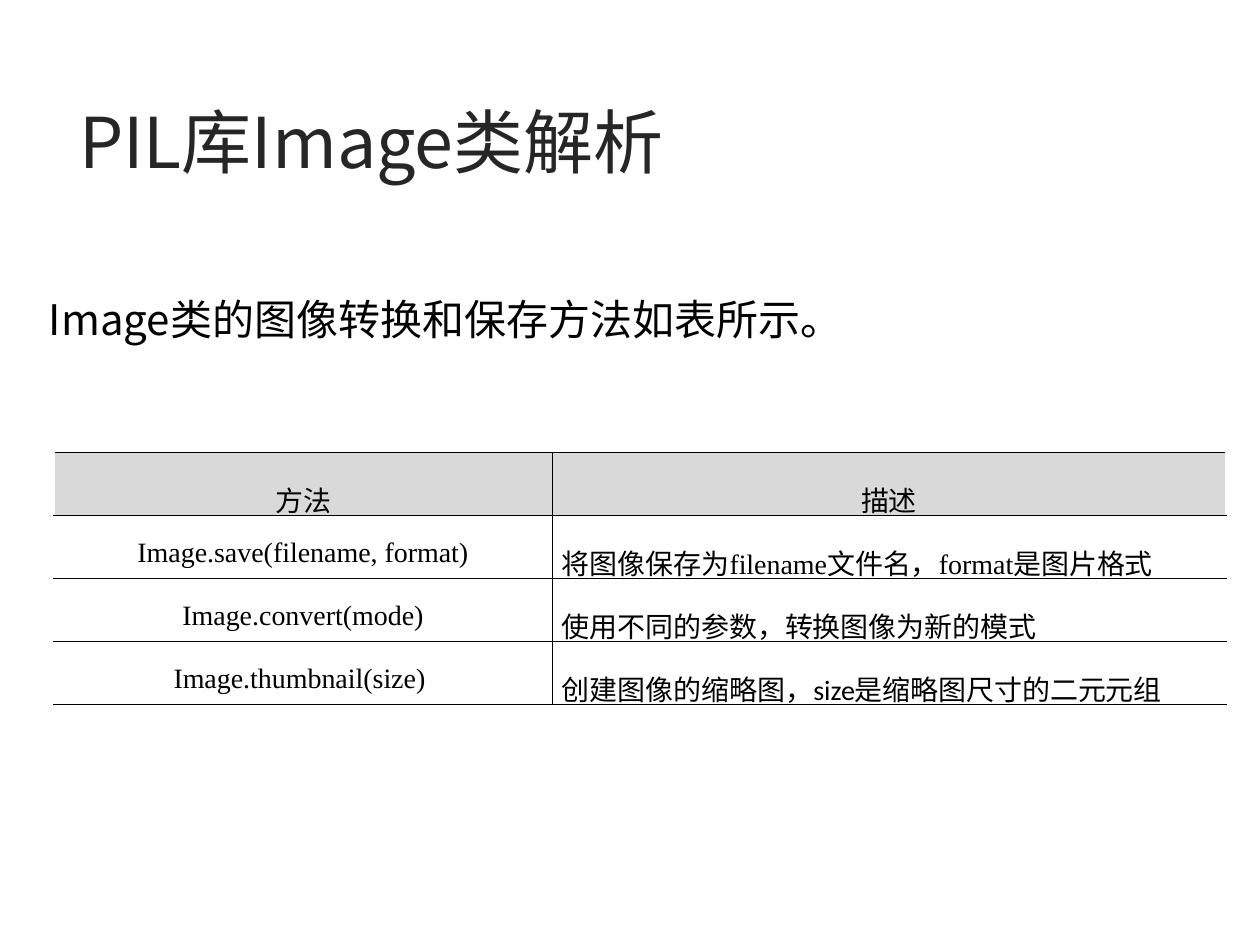
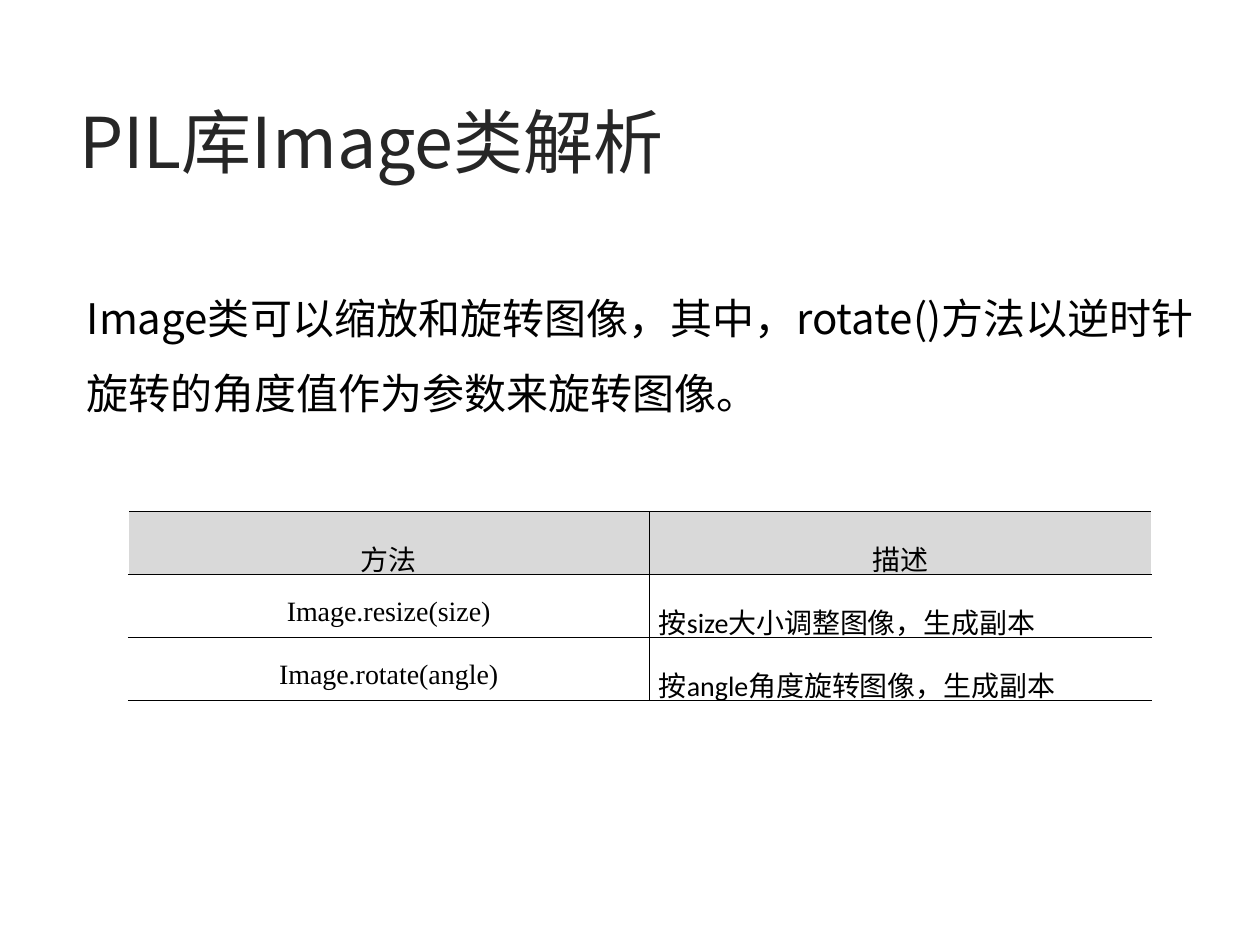
import lxml.etree
import pptx
import pptx.dml.color
import pptx.enum.text
import pptx.oxml
import pptx.oxml.ns
import pptx.util

Inches = pptx.util.Inches
Pt = pptx.util.Pt
RGBColor = pptx.dml.color.RGBColor
Align = pptx.enum.text.PP_ALIGN
qn = pptx.oxml.ns.qn

BLACK = RGBColor(0x00, 0x00, 0x00)
WHITE = RGBColor(0xFF, 0xFF, 0xFF)
TITLE_GRAY = RGBColor(0x26, 0x26, 0x26)
HEADER_GRAY = RGBColor(0xD9, 0xD9, 0xD9)

CJK_FONT = "Noto Sans CJK SC"
SERIF_FONT = "Times New Roman"
SANS_FONT = "Calibri"

TITLE = "PIL库Image类解析"
TABLE_HEADER = ("方法", "描述", SERIF_FONT)
ROW_HEIGHT = Inches(0.4)
BORDER_WIDTH = Pt(0.45)


def add_text_shadow(span):
    properties = span.font._element
    shadow = pptx.oxml.parse_xml(
        f'<a:effectLst {pptx.oxml.ns.nsdecls("a")}>'
        '<a:outerShdw blurRad="38100" dist="38100" dir="2700000" algn="tl">'
        '<a:srgbClr val="000000"><a:alpha val="43000"/></a:srgbClr>'
        '</a:outerShdw></a:effectLst>')
    properties.find(qn("a:solidFill")).addnext(shadow)


def write_text(frame, text, size, font=CJK_FONT, color=BLACK, align=None,
               line_spacing=None, shadow=False):
    para = frame.paragraphs[0]
    para.alignment = align
    para.line_spacing = line_spacing
    span = para.add_run()
    span.text = text
    span.font.size = Pt(size)
    span.font.color.rgb = color
    span.font.name = font
    east_asian = lxml.etree.SubElement(span.font._element, qn("a:ea"))
    east_asian.set("typeface", CJK_FONT)
    if shadow:
        add_text_shadow(span)


def add_borders(cell, sides):
    """Draw thin black lines on the given sides, a string drawn from LRTB in that order."""
    properties = cell._tc.get_or_add_tcPr()
    for side in sides:
        properties.append(pptx.oxml.parse_xml(
            f'<a:ln{side} {pptx.oxml.ns.nsdecls("a")} w="{BORDER_WIDTH}">'
            f'<a:solidFill><a:srgbClr val="{BLACK}"/></a:solidFill>'
            f'</a:ln{side}>'))


class MethodDeck:
    def __init__(self):
        self.deck = pptx.Presentation()
        self.deck.slide_width = Inches(10)
        self.deck.slide_height = Inches(7.5)
        self.page = None

    def add_page(self):
        self.page = self.deck.slides.add_slide(self.deck.slide_layouts[6])
        self.add_box(TITLE, 0.53, 0.73, 5.3, 0.77, wrap=False,
                     size=40, color=TITLE_GRAY, shadow=True)

    def add_box(self, text, left, top, width, height, wrap=True, **text_format):
        box = self.page.shapes.add_textbox(
            Inches(left), Inches(top), Inches(width), Inches(height))
        frame = box.text_frame
        frame.word_wrap = wrap
        frame.auto_size = pptx.enum.text.MSO_AUTO_SIZE.SHAPE_TO_FIT_TEXT
        write_text(frame, text, **text_format)

    def add_intro(self, text, left, top, width, height):
        self.add_box(text, left, top, width, height,
                     size=24, align=Align.JUSTIFY, line_spacing=1.5)

    def add_method_table(self, methods, left, top, column_widths):
        """Each method is its call, its description and the description's font."""
        rows = [TABLE_HEADER, *methods]
        table = self.page.shapes.add_table(
            len(rows), len(column_widths), Inches(left), Inches(top),
            Inches(sum(column_widths)), ROW_HEIGHT * len(rows)).table
        for column, width in zip(table.columns, column_widths):
            column.width = Inches(width)
        for index, (call, description, font) in enumerate(rows):
            is_header = index == 0
            table.rows[index].height = ROW_HEIGHT
            fill = HEADER_GRAY if is_header else WHITE
            description_align = Align.CENTER if is_header else Align.JUSTIFY
            self.fill_cell(table.cell(index, 0), call, fill, "RTB",
                           font=SERIF_FONT, align=Align.CENTER)
            self.fill_cell(table.cell(index, 1), description, fill, "LTB",
                           font=font, align=description_align)

    def fill_cell(self, cell, text, fill, sides, **text_format):
        cell.margin_left = cell.margin_right = Inches(0.08)
        add_borders(cell, sides)
        cell.fill.solid()
        cell.fill.fore_color.rgb = fill
        write_text(cell.text_frame, text, size=16, line_spacing=1.5, **text_format)


def main():
    lesson = MethodDeck()

    lesson.add_page()
    lesson.add_intro("Image类的图像转换和保存方法如表所示。", 0.29, 2.08, 10.71, 0.7)
    lesson.add_method_table([
        ("Image.save(filename, format)",
         "将图像保存为filename文件名，format是图片格式", SERIF_FONT),
        ("Image.convert(mode)", "使用不同的参数，转换图像为新的模式", SANS_FONT),
        ("Image.thumbnail(size) ",
         "创建图像的缩略图，size是缩略图尺寸的二元元组", SANS_FONT),
    ], 0.43, 3.59, (3.95, 5.35))

    lesson.add_page()
    lesson.add_intro(
        "Image类可以缩放和旋转图像，其中，rotate()方法以逆时针旋转的角度值作为参数来旋转图像。",
        0.59, 2.07, 8.98, 1.3)
    lesson.add_method_table([
        ("Image.resize(size)", "按size大小调整图像，生成副本", SANS_FONT),
        ("Image.rotate(angle)", "按angle角度旋转图像，生成副本", SANS_FONT),
    ], 1.02, 4.06, (4.13, 3.99))

    lesson.deck.save("out.pptx")


if __name__ == "__main__":
    main()
